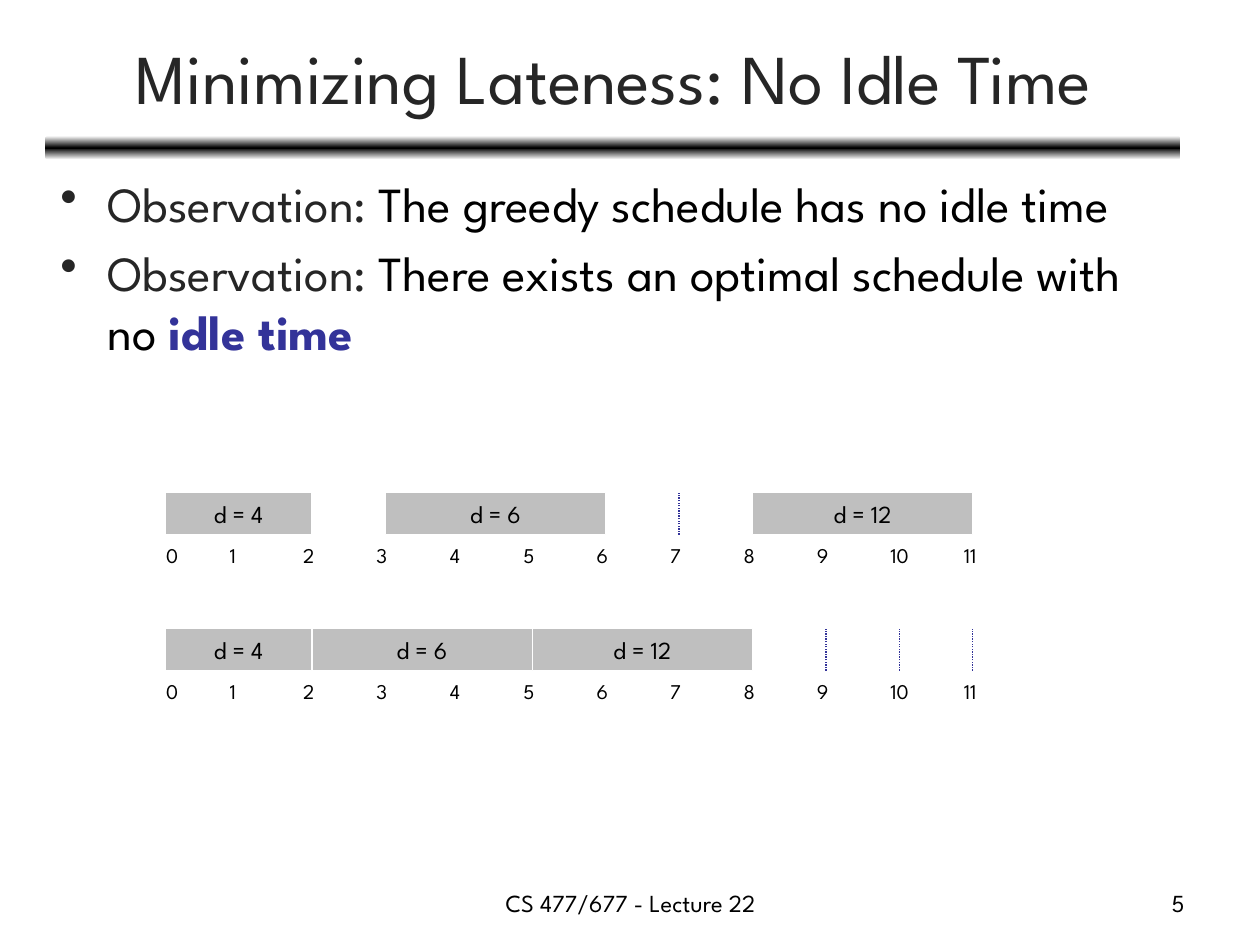
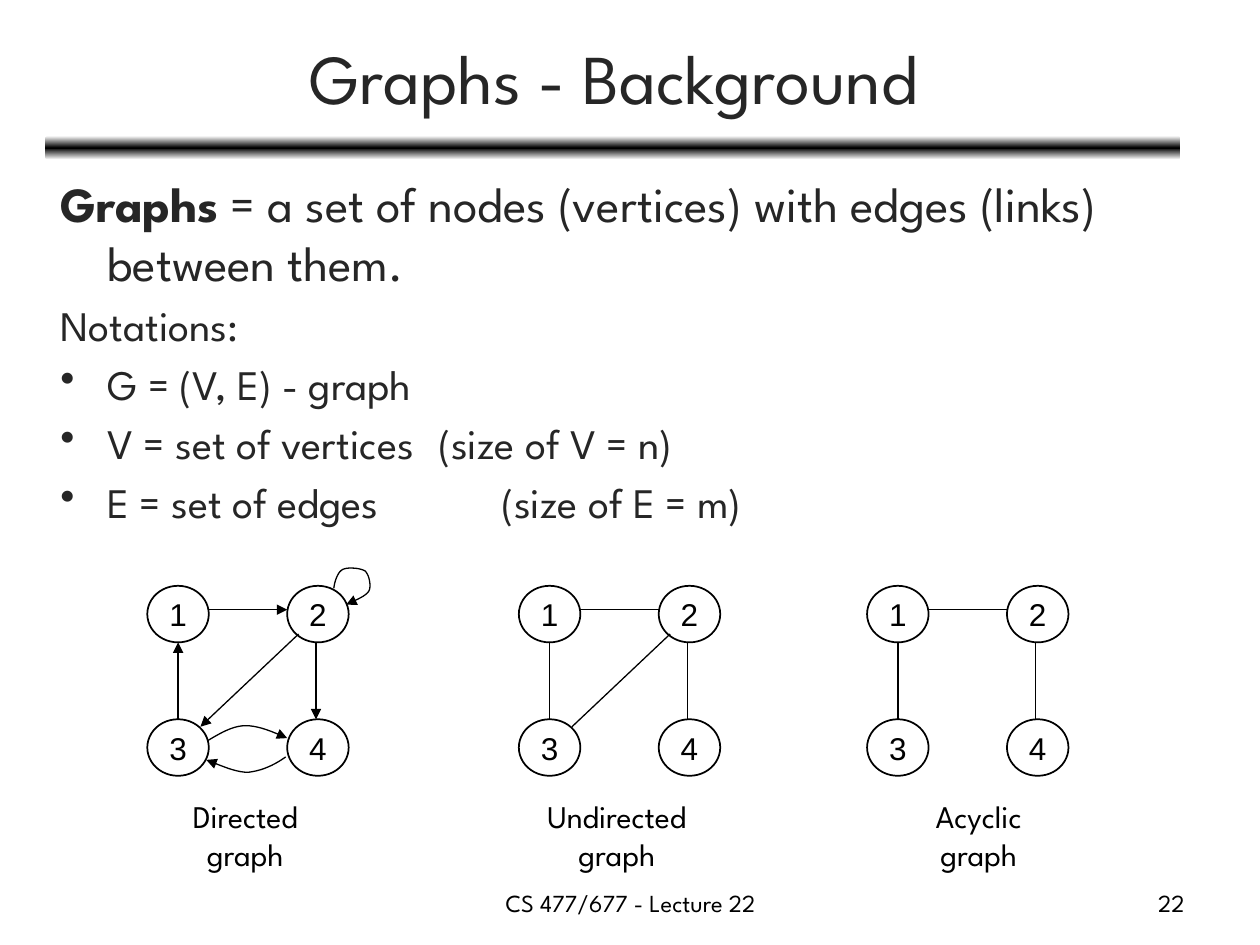
"""Builds two lecture slides: a scheduling timeline and a graph overview."""
from copy import deepcopy
from dataclasses import dataclass
from typing import Any, NamedTuple

from pptx import Presentation
from pptx.dml.color import RGBColor
from pptx.enum.dml import MSO_LINE
from pptx.enum.shapes import MSO_CONNECTOR, MSO_SHAPE
from pptx.enum.text import MSO_ANCHOR as Anchor, PP_ALIGN as Align
from pptx.oxml.ns import qn
from pptx.oxml.xmlchemy import OxmlElement
from pptx.util import Cm, Pt

BLACK, WHITE, INK, BLUE, GREY = "000000", "FFFFFF", "262626", "333399", "BFBFBF"
TEXT_FONT, NODE_FONT = "League Spartan", "Arial"
FOOTER = "CS 477/677 - Lecture 22"
TITLE_ONLY = 5

HANGING = 0.95
AXIS_LEFT, UNIT, LAST_TIME, BLOCK_HEIGHT = 3.33, 1.48, 11, 0.85
NODE_WIDTH, NODE_HEIGHT, COLUMN_STEP, ROW_STEP = 1.24, 1.14, 2.82, 2.69
GRAPH_TOP, CAPTION_TOP = 11.81, 15.95
CURVE_STEPS = 10

Point = tuple[float, float]


class Box(NamedTuple):
    """A rectangle in centimetres."""
    left: float
    top: float
    width: float
    height: float

    def lengths(self) -> list[Cm]:
        return [Cm(value) for value in self]


class Span(NamedTuple):
    """A stretch of text in one format."""
    text: str
    size: float = 14
    color: str = BLACK
    bold: bool = False
    font: str = TEXT_FONT


@dataclass
class Line:
    """A paragraph of spans."""
    spans: list[Span]
    align: Any = Align.LEFT
    hanging: bool = False
    bullet: bool = False
    space_before: float = 0


class Job(NamedTuple):
    """A scheduled job with its deadline."""
    start: int
    length: int
    deadline: int


class Schedule(NamedTuple):
    """A timeline row with its jobs and idle ticks."""
    top: float
    jobs: list[Job]
    ticks: list[int]


class Graph(NamedTuple):
    """A four-node graph with its caption."""
    left: float
    edges: list[tuple[Point, Point]]
    curves: list[list[Point]]
    directed: bool
    caption: str
    caption_left: float
    caption_width: float


EDGE_1_2 = ((NODE_WIDTH, 0.48), (COLUMN_STEP, 0.48))
EDGE_2_4 = ((3.4, NODE_HEIGHT), (3.4, ROW_STEP))
EDGE_3_1 = ((0.62, ROW_STEP), (0.62, NODE_HEIGHT))
EDGE_2_3 = ((3.05, 0.97), (1.07, 2.84))
SQUARE_EDGES = [EDGE_1_2, EDGE_2_4, EDGE_3_1]
CURVE_3_4 = [(1.22, 3.12), (1.47, 2.97), (1.73, 2.82), (1.98, 2.82),
             (2.26, 2.82), (2.54, 2.95), (2.82, 3.07)]
CURVE_4_3 = [(2.79, 3.45), (2.57, 3.61), (2.31, 3.73), (2.03, 3.76),
             (1.78, 3.76), (1.5, 3.63), (1.19, 3.51)]
LOOP_2 = [(3.76, 0.05), (3.78, -0.1), (3.84, -0.28), (3.94, -0.33),
          (4.04, -0.38), (4.29, -0.36), (4.39, -0.3), (4.47, -0.23),
          (4.52, 0), (4.47, 0.1), (4.42, 0.2), (4.22, 0.28), (4.01, 0.38)]

GRAPHS = [
    Graph(2.97, SQUARE_EDGES + [EDGE_2_3], [CURVE_3_4, CURVE_4_3, LOOP_2],
          True, "Directed", 3.33, 3.23),
    Graph(10.46, SQUARE_EDGES + [EDGE_2_3], [], False, "Undirected", 10.44, 3.99),
    Graph(17.48, SQUARE_EDGES, [], False, "Acyclic", 18.31, 2.84),
]
SCHEDULES = [
    Schedule(9.93, [Job(0, 2, 4), Job(3, 3, 6), Job(8, 3, 12)], [7]),
    Schedule(12.67, [Job(0, 2, 4), Job(2, 3, 6), Job(5, 3, 12)], [9, 10, 11]),
]


def rgb(color: str) -> RGBColor:
    """Turns a hex string into a colour."""
    return RGBColor.from_string(color)


def set_format(target: Any, values: dict[str, Any]) -> None:
    """Sets each named attribute of the target."""
    for name, value in values.items():
        setattr(target, name, value)


def write(shape: Any, lines: list[Line], **frame_format: Any) -> None:
    """Fills a shape with formatted paragraphs."""
    frame = shape.text_frame
    set_format(frame, {"word_wrap": True} | frame_format)
    for index, line in enumerate(lines):
        paragraph = frame.add_paragraph() if index else frame.paragraphs[0]
        properties = paragraph._p.get_or_add_pPr()
        if line.hanging:
            properties.set("marL", str(Cm(HANGING)))
            properties.set("indent", str(-Cm(HANGING)))
        if line.bullet:
            bullet = OxmlElement("a:buChar")
            bullet.set("char", "•")
            properties.append(bullet)
        set_format(paragraph, {"alignment": line.align,
                               "space_before": Pt(line.space_before)})
        for span in line.spans:
            run = paragraph.add_run()
            run.text = span.text
            set_format(run.font, {"name": span.font, "size": Pt(span.size),
                                  "bold": span.bold})
            run.font.color.rgb = rgb(span.color)


def add_text(slide: Any, box: Box, lines: list[Line], **frame_format: Any) -> None:
    """Adds a text box."""
    write(slide.shapes.add_textbox(*box.lengths()), lines, **frame_format)


def set_line(shape: Any, color: str, width: float, arrow: bool = False) -> None:
    """Styles an outline, with an arrowhead at its end if asked."""
    shape.line.color.rgb = rgb(color)
    shape.line.width = Pt(width)
    if arrow:
        head = OxmlElement("a:tailEnd")
        head.set("type", "triangle")
        shape._element.find(".//" + qn("a:ln")).append(head)


def add_line(shapes: Any, start: Point, end: Point, color: str,
             arrow: bool = False) -> Any:
    """Adds a thin straight connector."""
    connector = shapes.add_connector(
        MSO_CONNECTOR.STRAIGHT, *(Cm(value) for value in start + end))
    set_line(connector, color, 0.75, arrow)
    connector._element.spPr.append(OxmlElement("a:effectLst"))
    return connector


def add_band(slide: Any) -> None:
    """Adds the gradient band under the title."""
    band = slide.shapes.add_shape(MSO_SHAPE.ROUNDED_RECTANGLE,
                                  *Box(0.91, 2.74, 22.89, 0.48).lengths())
    band.shadow.inherit = False
    band.line.fill.background()
    band.fill.gradient()
    stops = band._element.find(".//" + qn("a:gsLst"))
    stops.append(deepcopy(stops[0]))
    band.fill.gradient_angle = 90
    for stop, position, color in zip(band.fill.gradient_stops, (0, 0.5, 1),
                                     (WHITE, BLACK, WHITE)):
        stop.position = position
        stop.color.rgb = rgb(color)


def add_slide(presentation: Any, title: str, number: int) -> Any:
    """Adds a slide with title, band and footer."""
    slide = presentation.slides.add_slide(presentation.slide_layouts[TITLE_ONLY])
    add_band(slide)
    placeholder = slide.shapes.title
    set_format(placeholder, dict(zip(("left", "top", "width", "height"),
                                     Box(0.94, 0.28, 22.86, 2.51).lengths())))
    write(placeholder, [Line([Span(title, 40, INK)], Align.CENTER)],
          vertical_anchor=Anchor.MIDDLE)
    add_text(slide, Box(8.69, 17.78, 8.05, 0.89),
             [Line([Span(FOOTER)], Align.CENTER)])
    add_text(slide, Box(18.21, 17.78, 5.92, 0.89),
             [Line([Span(str(number))], Align.RIGHT)])
    return slide


def time_left(time: int) -> float:
    """Gives the horizontal place of a time."""
    return AXIS_LEFT + UNIT * time


def add_schedule(slide: Any, schedule: Schedule) -> None:
    """Draws one timeline row."""
    top, bottom = schedule.top, schedule.top + BLOCK_HEIGHT
    for time in schedule.ticks:
        tick = add_line(slide.shapes, (time_left(time), bottom),
                        (time_left(time), top), BLUE)
        tick.line.dash_style = MSO_LINE.ROUND_DOT
    for time in range(LAST_TIME + 1):
        shift = 0.43 if time else 0.23
        add_text(slide, Box(time_left(time) - shift, top + 0.89, 1.27, 0.76),
                 [Line([Span(str(time), 12)])])
    for job in schedule.jobs:
        box = Box(time_left(job.start), top, UNIT * job.length, BLOCK_HEIGHT)
        block = slide.shapes.add_shape(MSO_SHAPE.RECTANGLE, *box.lengths())
        block.shadow.inherit = False
        block.fill.solid()
        block.fill.fore_color.rgb = rgb(GREY)
        set_line(block, WHITE, 0.75)
        write(block, [Line([Span(f"d = {job.deadline}")], Align.CENTER)],
              word_wrap=False, vertical_anchor=Anchor.MIDDLE)


def curve_points(controls: list[Point]) -> list[Point]:
    """Samples a chain of cubic Bézier curves."""
    points = [controls[0]]
    for first in range(0, len(controls) - 1, 3):
        axes = list(zip(*controls[first:first + 4]))
        for step in range(1, CURVE_STEPS + 1):
            t = step / CURVE_STEPS
            weights = ((1 - t) ** 3, 3 * t * (1 - t) ** 2, 3 * t * t * (1 - t), t ** 3)
            x, y = (sum(w * v for w, v in zip(weights, axis)) for axis in axes)
            points.append((x, y))
    return points


def add_graph(slide: Any, graph: Graph) -> None:
    """Draws one graph as a group, with its caption."""
    shapes = slide.shapes.add_group_shape().shapes

    def place(point: Point) -> Point:
        return graph.left + point[0], GRAPH_TOP + point[1]

    for index in range(4):
        row, column = divmod(index, 2)
        left, top = place((column * COLUMN_STEP, row * ROW_STEP))
        node = shapes.add_shape(MSO_SHAPE.OVAL,
                                *Box(left, top, NODE_WIDTH, NODE_HEIGHT).lengths())
        node.shadow.inherit = False
        node.fill.background()
        set_line(node, BLACK, 1)
        write(node, [Line([Span(str(index + 1), 18, font=NODE_FONT)], Align.CENTER)],
              word_wrap=False, vertical_anchor=Anchor.MIDDLE)
    for start, end in graph.edges:
        add_line(shapes, place(start), place(end), BLACK, graph.directed)
    for controls in graph.curves:
        points = [tuple(Cm(value) for value in place(point))
                  for point in curve_points(controls)]
        builder = shapes.build_freeform(*points[0])
        builder.add_line_segments(points[1:], close=False)
        curve = builder.convert_to_shape()
        curve.shadow.inherit = False
        curve.fill.background()
        set_line(curve, BLACK, 0.75, graph.directed)
    add_text(slide, Box(graph.caption_left, CAPTION_TOP, graph.caption_width, 1.8),
             [Line([Span(word, 18)], Align.CENTER) for word in (graph.caption, "graph")],
             word_wrap=False)


def main() -> None:
    """Builds and saves the presentation."""
    presentation = Presentation()
    set_format(presentation, {"slide_width": Cm(25.4), "slide_height": Cm(19.05)})

    slide = add_slide(presentation, "Minimizing Lateness: No Idle Time", 5)
    observation = Span("Observation: ", 28, INK)
    add_text(slide, Box(0.97, 3.38, 22.86, 14.1), [
        Line([observation, Span("The greedy schedule has no idle time", 28)],
             hanging=True, bullet=True),
        Line([observation, Span("There exists an optimal schedule with no ", 28),
              Span("idle time", 28, BLUE, True)],
             hanging=True, bullet=True, space_before=5.6)])
    for schedule in SCHEDULES:
        add_schedule(slide, schedule)

    slide = add_slide(presentation, "Graphs - Background", 22)
    notations = ["G = (V, E) - graph", "V = set of vertices\t(size of V = n)",
                 "E = set of edges\t\t(size of E = m)"]
    definition = " = a set of nodes (vertices) with edges (links) between them."
    add_text(slide, Box(0.97, 3.38, 22.86, 7.7), [
        Line([Span("Graphs", 28, INK, True), Span(definition, 28, INK)], hanging=True),
        Line([Span("Notations:", 24, INK)], hanging=True, space_before=4.8),
        *(Line([Span(text, 24, INK)], hanging=True, bullet=True, space_before=4.8)
          for text in notations)])
    for graph in GRAPHS:
        add_graph(slide, graph)
    presentation.save("out.pptx")


if __name__ == "__main__":
    main()
